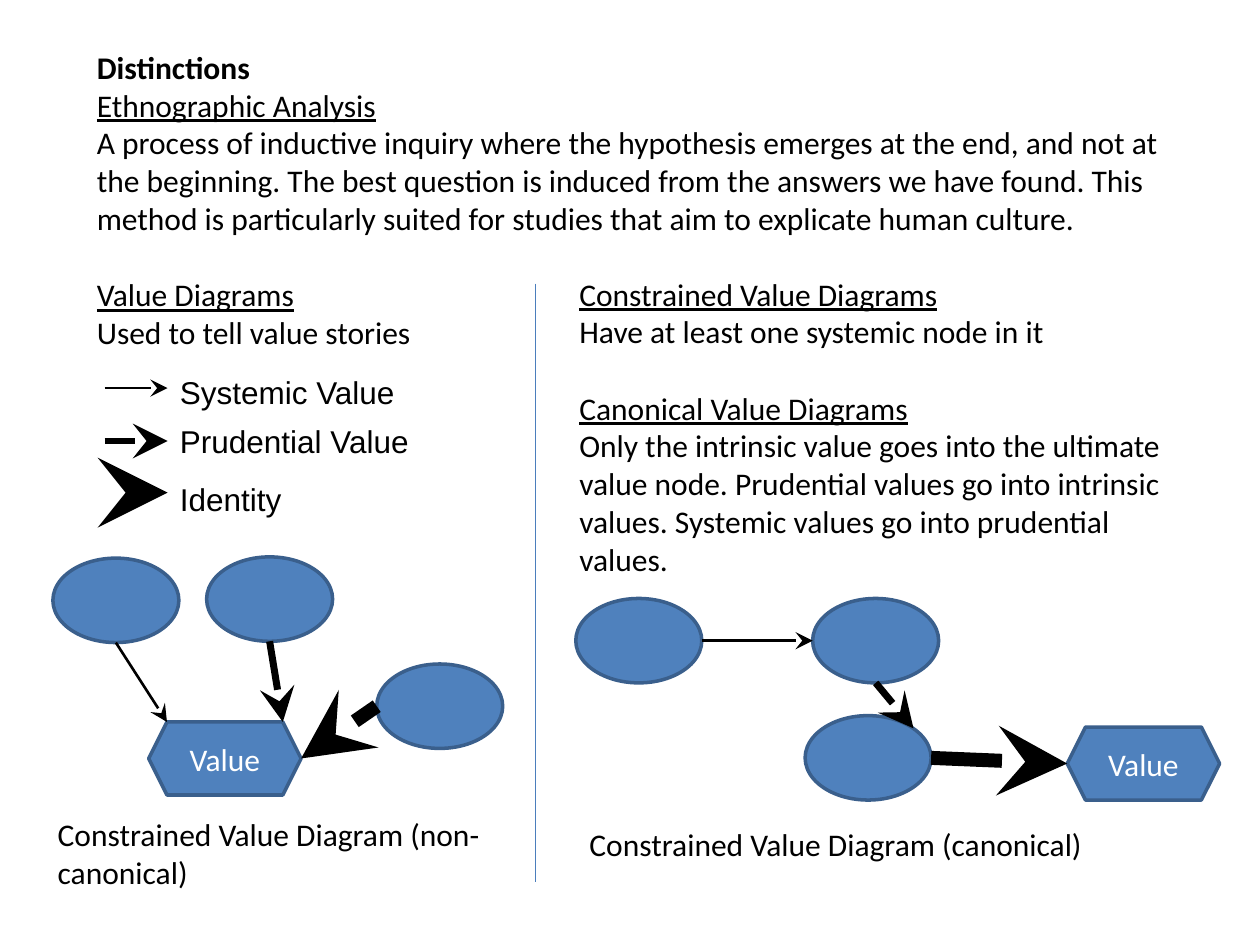
from lxml.etree import SubElement
from pptx import Presentation
from pptx.dml.color import RGBColor
from pptx.enum.shapes import MSO_CONNECTOR, MSO_SHAPE
from pptx.enum.text import MSO_ANCHOR, MSO_AUTO_SIZE, PP_ALIGN
from pptx.oxml.ns import qn
from pptx.util import Inches, Pt

COLORS = {"text": "000000", "node": "4F81BD", "outline": "3A5F8C",
          "node_text": "FFFFFF", "divider": "4B7EBC"}
WEIGHTS = {"systemic": 1.5, "prudential": 4, "identity": 8}
NODES = {"ellipse": (MSO_SHAPE.OVAL, 10, 6.7), "value": (MSO_SHAPE.HEXAGON, 12.1, 5.8)}
ANCHORS = {"left": (0, 0.5), "right": (1, 0.5), "bottom": (0.5, 1),
           "corner_left": (0.12, 0), "corner_right": (0.88, 0), "arc_right": (0.86, 0.15)}
HEADING = {"underline": True}
BODY = {}
LINE_GAP = Pt(22)

# The grid has 100 columns and 75 rows.
SLIDE_WIDTH, SLIDE_HEIGHT = Inches(10), Inches(7.5)
COLUMN, ROW = SLIDE_WIDTH / 100, SLIDE_HEIGHT / 75


def to_length(column, row):
    """Turn a grid position into slide lengths."""
    return round(column * COLUMN), round(row * ROW)


def rgb(name):
    """Look up a named colour."""
    return RGBColor.from_string(COLORS[name])


def apply_format(target, values):
    """Set each attribute in the dict on the target."""
    for name, value in values.items():
        setattr(target, name, value)


def add_run(paragraph, text, color="text", font="Calibri", values=BODY):
    """Add one formatted run to a paragraph."""
    run = paragraph.add_run()
    run.text = text
    apply_format(run.font, {"name": font, "size": Pt(18), **values})
    run.font.color.rgb = rgb(color)


def add_text(slide, box, lines, font="Calibri"):
    """Fill a text box with (text, font values, gap before) lines."""
    left, top, width, height = box
    shape = slide.shapes.add_textbox(*to_length(left, top), *to_length(width, height))
    frame = shape.text_frame
    apply_format(frame, {"word_wrap": True, "auto_size": MSO_AUTO_SIZE.SHAPE_TO_FIT_TEXT})
    for index, (text, values, gap) in enumerate(lines):
        paragraph = frame.add_paragraph() if index else frame.paragraphs[0]
        paragraph.space_before = gap
        add_run(paragraph, text, font=font, values=values)


def add_line(slide, start, end, weight, color="text", arrow=True):
    """Draw a straight line between grid points, with an optional arrowhead."""
    connector = slide.shapes.add_connector(
        MSO_CONNECTOR.STRAIGHT, *to_length(*start), *to_length(*end))
    connector.line.width = Pt(weight)
    connector.line.color.rgb = rgb(color)
    if arrow:
        SubElement(connector.line._get_or_add_ln(), qn("a:tailEnd"),
                   type="stealth", w="lg", len="lg")
    SubElement(connector._element.spPr, qn("a:effectLst"))


def add_node(slide, kind, left, top):
    """Draw one diagram node; value nodes carry their label."""
    preset, width, height = NODES[kind]
    shape = slide.shapes.add_shape(preset, *to_length(left, top), *to_length(width, height))
    shape.shadow.inherit = False
    shape.fill.solid()
    shape.fill.fore_color.rgb = rgb("node")
    shape.line.color.rgb = rgb("outline")
    shape.line.width = Pt(2)
    if kind == "value":
        shape.text_frame.vertical_anchor = MSO_ANCHOR.MIDDLE
        paragraph = shape.text_frame.paragraphs[0]
        paragraph.alignment = PP_ALIGN.CENTER
        add_run(paragraph, "Value", "node_text")


def add_legend(slide, left, top):
    """List the three arrow weights with their names."""
    rows = [("systemic", "Systemic Value", 0, 0.3),
            ("prudential", "Prudential Value", 4.2, 4.2),
            ("identity", "Identity", 8.3, 8.8)]
    for kind, label, line_row, label_row in rows:
        add_line(slide, (left, top + line_row), (left + 5, top + line_row), WEIGHTS[kind])
        add_text(slide, (left + 5, top + label_row - 2, 22, 4), [(label, BODY, 0)], "Arial")


def add_diagram(slide, left, top, nodes, edges, caption):
    """Draw nodes, the arrows that join them, and a caption below."""
    placed = {name: (kind, left + x, top + y) for name, (kind, x, y) in nodes.items()}

    def anchor(name, side):
        kind, x, y = placed[name]
        _, width, height = NODES[kind]
        share_x, share_y = ANCHORS[side]
        return x + share_x * width, y + share_y * height

    for node in placed.values():
        add_node(slide, *node)
    for source, source_side, target, target_side, weight in edges:
        add_line(slide, anchor(source, source_side), anchor(target, target_side),
                 WEIGHTS[weight])
    text, x, y, width, height = caption
    add_text(slide, (left + x, top + y, width, height), [(text, BODY, 0)])


def add_definitions(slide, left, top):
    """Place the two blocks of definitions."""
    add_text(slide, (left, top, 89.2, 25.2), [
        ("Distinctions", {"bold": True}, 0),
        ("Ethnographic Analysis", HEADING, 0),
        ("A process of inductive inquiry where the hypothesis emerges at the end, and not "
         "at the beginning. The best question is induced from the answers we have found. "
         "This method is particularly suited for studies that aim to explicate human "
         "culture.", BODY, 0),
        ("Value Diagrams", HEADING, LINE_GAP),
        ("Used to tell value stories", BODY, 0)])
    add_text(slide, (left + 38.3, top + 18, 50, 25.2), [
        ("Constrained Value Diagrams", HEADING, 0),
        ("Have at least one systemic node in it", BODY, 0),
        ("Canonical Value Diagrams", HEADING, LINE_GAP),
        ("Only the intrinsic value goes into the ultimate value node. Prudential values go "
         "into intrinsic values. Systemic values go into prudential values.", BODY, 0)])


def build_slide(presentation):
    """Compose the slide from its regions."""
    slide = presentation.slides.add_slide(presentation.slide_layouts[6])
    add_definitions(slide, 6.7, 3.3)
    add_legend(slide, 8.3, 30.8)
    add_diagram(
        slide, 4.2, 44.2,
        {"first": ("ellipse", 0, 0.1), "second": ("ellipse", 12.2, 0),
         "third": ("ellipse", 25.7, 8.5), "goal": ("value", 7.6, 13.1)},
        [("first", "bottom", "goal", "corner_left", "systemic"),
         ("second", "bottom", "goal", "corner_right", "prudential"),
         ("third", "left", "goal", "right", "identity")],
        ("Constrained Value Diagram (non-canonical)", -0.6, 20, 45.6, 7.1))
    add_diagram(
        slide, 45.7, 47.5,
        {"first": ("ellipse", 0, 0), "second": ("ellipse", 18.8, 0),
         "third": ("ellipse", 18.2, 9.3), "goal": ("value", 39, 10.2)},
        [("first", "right", "second", "left", "systemic"),
         ("second", "bottom", "third", "arc_right", "prudential"),
         ("third", "right", "goal", "left", "identity")],
        ("Constrained Value Diagram (canonical)", 0.1, 17.5, 44.2, 4))
    add_line(slide, (42.5, 22.5), (42.5, 70), 0.75, "divider", arrow=False)


presentation = Presentation()
apply_format(presentation, {"slide_width": SLIDE_WIDTH, "slide_height": SLIDE_HEIGHT})
build_slide(presentation)
presentation.save("out.pptx")
